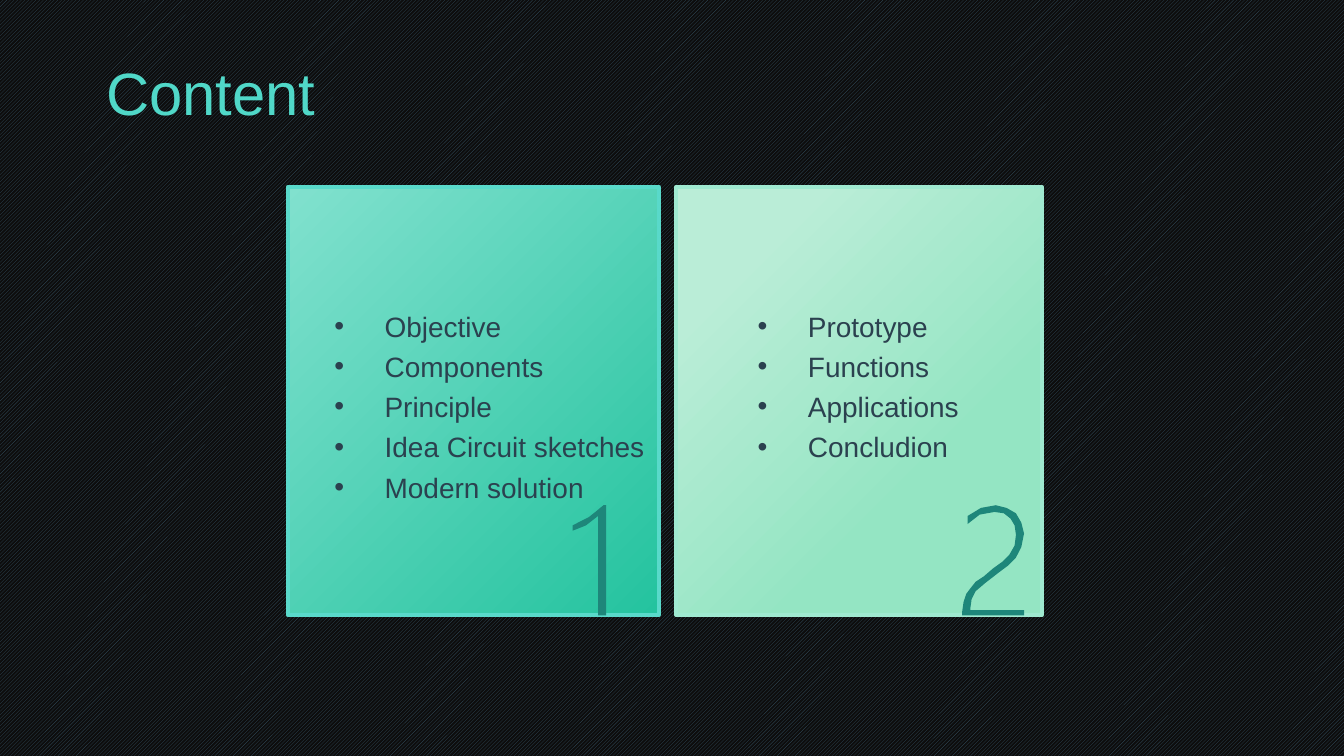
from lxml import etree
from pptx import Presentation
from pptx.dml.color import RGBColor
from pptx.enum.dml import MSO_PATTERN
from pptx.enum.shapes import MSO_SHAPE
from pptx.enum.text import MSO_ANCHOR, PP_ALIGN
from pptx.oxml.ns import qn
from pptx.util import Cm, Pt

DIAGONAL = MSO_PATTERN.DARK_UPWARD_DIAGONAL
RECT = MSO_SHAPE.RECTANGLE
MIDDLE = MSO_ANCHOR.MIDDLE
LEFT = PP_ALIGN.LEFT

STRIPE = RGBColor(0x32, 0x4C, 0x5C)
NIGHT = RGBColor(0x0D, 0x0D, 0x0D)
TURQUOISE = RGBColor(0x50, 0xD8, 0xC8)
SLATE = RGBColor(0x2B, 0x41, 0x4F)
DIGIT = RGBColor(0x1E, 0x86, 0x7A)
TEAL_EDGE = RGBColor(0x59, 0xD9, 0xCA)
TEAL_LIGHT = RGBColor(0x81, 0xE1, 0xCE)
TEAL_DARK = RGBColor(0x24, 0xC3, 0x9F)
MINT_EDGE = RGBColor(0x9F, 0xE9, 0xD0)
MINT_LIGHT = RGBColor(0xBA, 0xED, 0xD7)
MINT_DARK = RGBColor(0x94, 0xE5, 0xC3)

UNITS_PER_CM = 100 / 2.54
ONE = [(449, 376), (451, 376), (451, 458), (445, 458), (445, 384), (436, 391),
       (426, 395), (426, 391), (432, 388), (438, 385), (443, 381)]
TWO = [(741, 376), (749, 378), (756, 382), (760, 389), (762, 397), (760, 407),
       (756, 415), (750, 421), (742, 427), (733, 434), (726, 440), (723, 446),
       (722, 453), (722, 454), (762, 454), (762, 458), (716, 458), (716, 455),
       (717, 448), (719, 442), (722, 438), (726, 433), (732, 429), (739, 423),
       (746, 418), (751, 413), (755, 406), (756, 398), (755, 391), (752, 386),
       (747, 382), (740, 381), (729, 383), (720, 390), (720, 384), (730, 378)]


def write(tf, text, size, color, spacing, bullet=None):
    for i, line in enumerate(text.split("\n")):
        p = tf.paragraphs[0] if i == 0 else tf.add_paragraph()
        p.alignment = LEFT
        p.line_spacing = spacing
        if bullet:
            pPr = p._p.get_or_add_pPr()
            pPr.set("marL", str(Cm(0.95)))
            pPr.set("indent", str(-Cm(0.95)))
            etree.SubElement(pPr, qn("a:buFont")).set("typeface", "Arial")
            etree.SubElement(pPr, qn("a:buChar")).set("char", bullet)
        r = p.add_run()
        r.text = line
        r.font.name = "Arial"
        r.font.size = Pt(size)
        r.font.color.rgb = color


prs = Presentation()
prs.slide_width, prs.slide_height = Cm(25.4), Cm(14.29)
s = prs.slides.add_slide(prs.slide_layouts[5])
fill = s.background.fill
fill.patterned()
fill.pattern = DIAGONAL
fill.fore_color.rgb = STRIPE
fill.back_color.rgb = NIGHT

title = s.shapes.title
title.left, title.top, title.width, title.height = Cm(1.75), Cm(0.76), Cm(21.9), Cm(2.11)
title.text_frame.vertical_anchor = MIDDLE
write(title.text_frame, "Content", size=32, color=TURQUOISE, spacing=0.9)

cards = [
    (5.44, 7.01, TEAL_EDGE, [(0, TEAL_LIGHT), (1, TEAL_DARK)], ONE, 6.07, 6.38, 4.09,
     "Objective\nComponents\nPrinciple\nIdea Circuit sketches\nModern solution"),
    (12.78, 6.91, MINT_EDGE, [(0.18, MINT_LIGHT), (0.68, MINT_DARK)], TWO, 14.07, 4.32, 3.33,
     "Prototype\nFunctions\nApplications\nConcludion"),
]
for left, width, edge, stops, outline, text_left, text_width, text_height, items in cards:
    card = s.shapes.add_shape(RECT, Cm(left), Cm(3.53), Cm(width), Cm(8.1))
    card.shadow.inherit = False
    card.fill.gradient()
    card.fill.gradient_angle = 315
    for stop, (position, color) in zip(card.fill.gradient_stops, stops):
        stop.position = position
        stop.color.rgb = color
    card.line.color.rgb = edge
    card.line.width = Pt(2)

    builder = s.shapes.build_freeform(*outline[0], scale=Cm(1) / UNITS_PER_CM)
    builder.add_line_segments(outline[1:], close=True)
    digit = builder.convert_to_shape()
    digit.shadow.inherit = False
    digit.fill.solid()
    digit.fill.fore_color.rgb = DIGIT
    digit.line.fill.background()

    box = s.shapes.add_textbox(Cm(text_left), Cm(5.59), Cm(text_width), Cm(text_height))
    write(box.text_frame, items, size=15, color=SLATE, spacing=1.2, bullet="•")

prs.save("out.pptx")
